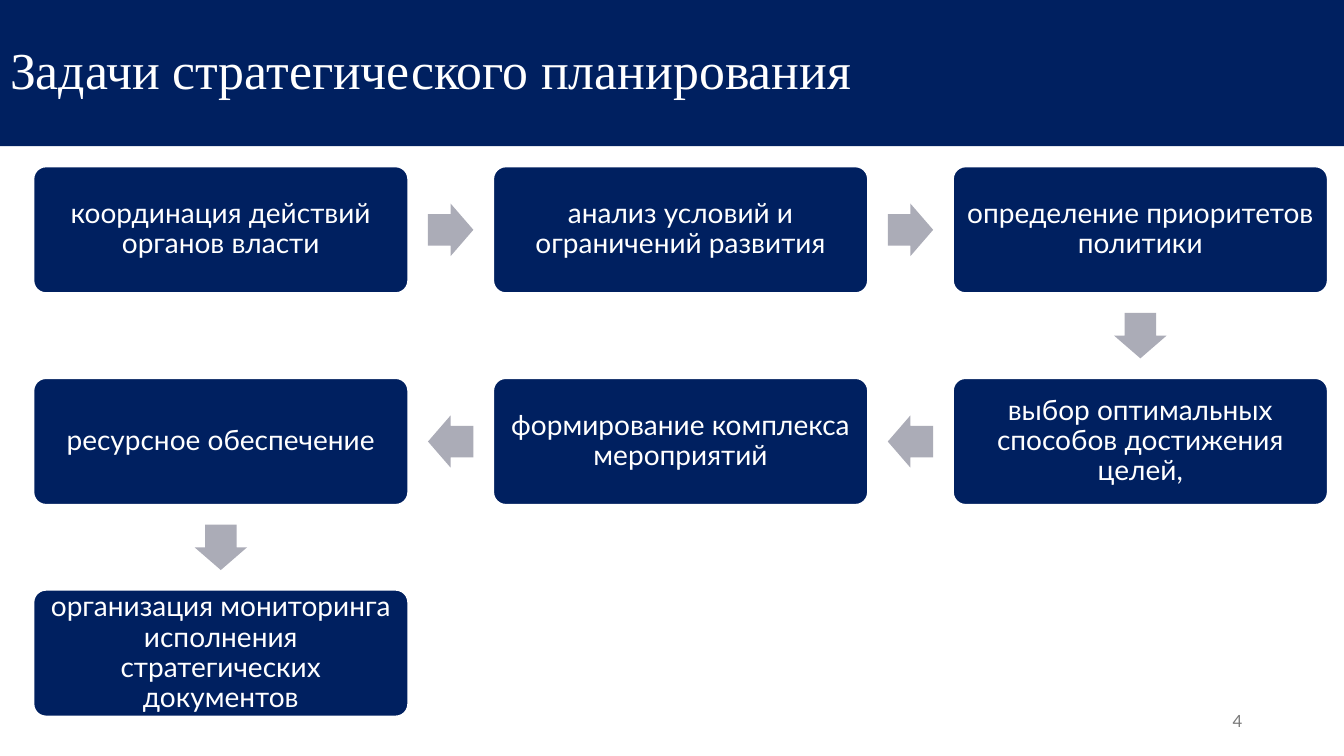
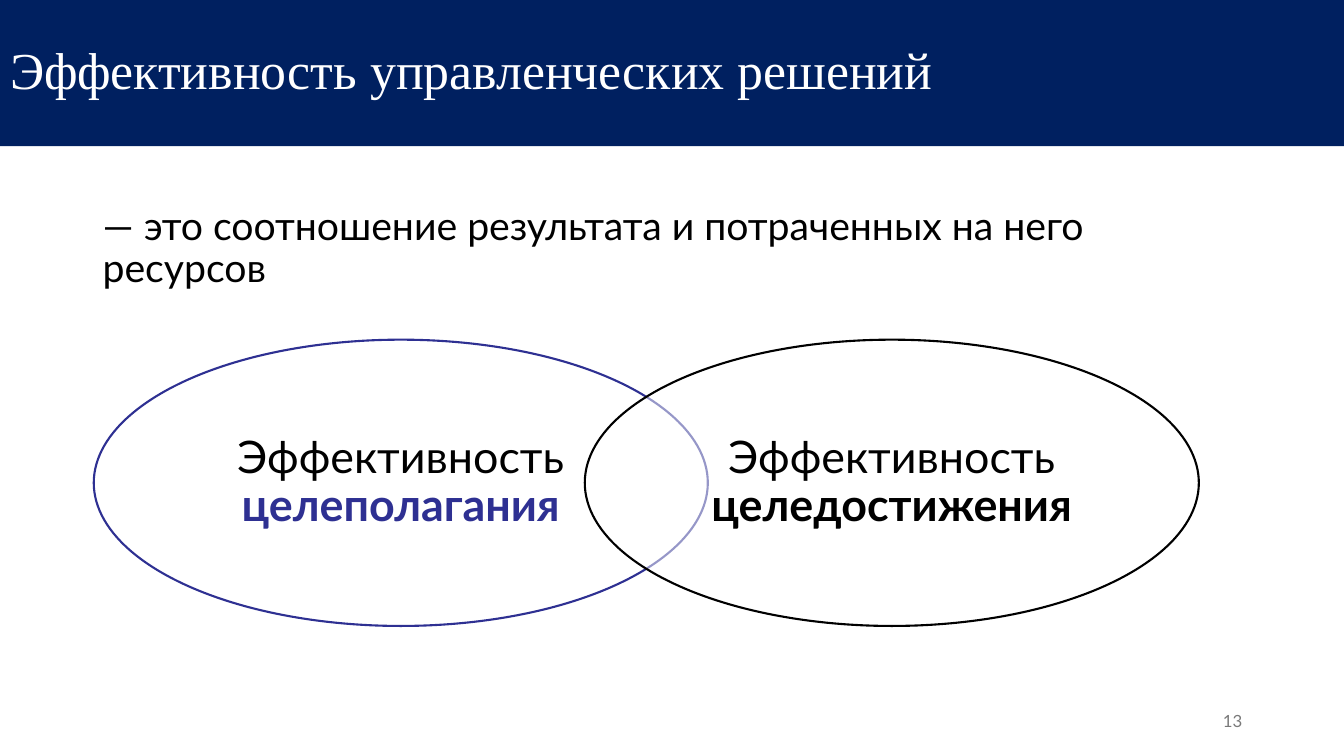
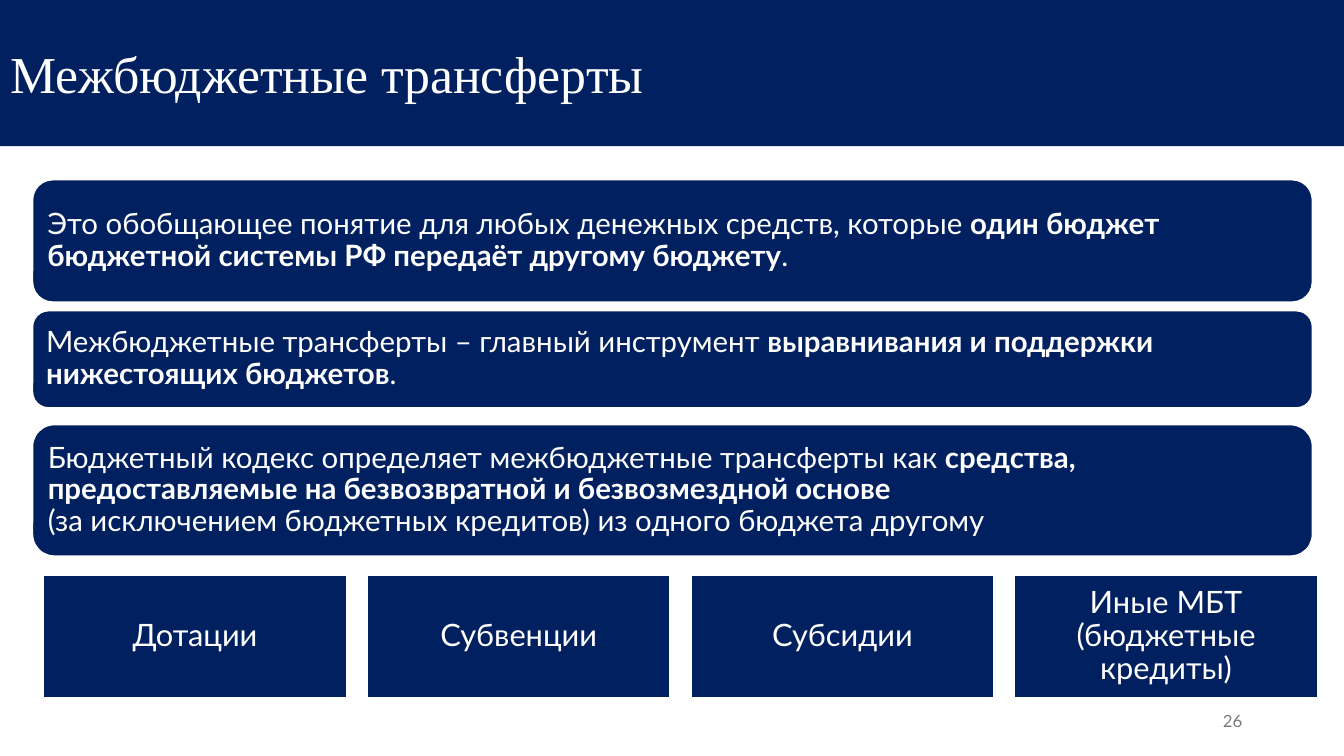
import lxml.etree
import pptx
import pptx.dml.color
import pptx.enum.shapes
import pptx.enum.text
import pptx.oxml.ns
import pptx.util

Inches = pptx.util.Inches
Pt = pptx.util.Pt
SHAPES = pptx.enum.shapes.MSO_SHAPE
ALIGN = pptx.enum.text.PP_ALIGN
ANCHOR = pptx.enum.text.MSO_ANCHOR

COLORS = {
    name: pptx.dml.color.RGBColor.from_string(value)
    for name, value in {
        "navy": "002060",
        "white": "FFFFFF",
        "black": "000000",
        "violet": "2E3092",
        "arrow": "ABACB7",
        "number": "797979",
    }.items()
}


def write(shape, runs, size, color="white", font="Lato", align=ALIGN.CENTER,
          anchor=ANCHOR.MIDDLE, inset=(0.1, 0.05), spacing=0.9):
    frame = shape.text_frame
    frame.word_wrap = True
    frame.auto_size = pptx.enum.text.MSO_AUTO_SIZE.NONE
    frame.vertical_anchor = anchor
    frame.margin_left = frame.margin_right = Inches(inset[0])
    frame.margin_top = frame.margin_bottom = Inches(inset[1])
    paragraph = frame.paragraphs[0]
    paragraph.alignment = align
    paragraph.line_spacing = spacing
    paragraph.font.name = font
    paragraph.font.size = Pt(size)
    paragraph.font.color.rgb = COLORS[color]
    for text, bold_color in runs:
        if text == "\n":
            paragraph.add_line_break()
            continue
        run = paragraph.add_run()
        run.text = text
        if bold_color:
            run.font.bold = True
            run.font.color.rgb = COLORS[bold_color]


def add_box(slide, kind, left, top, width, height, fill="navy", line="white"):
    box = slide.shapes.add_shape(kind, Inches(left), Inches(top), Inches(width), Inches(height))
    box.shadow.inherit = False
    box.fill.solid()
    box.fill.fore_color.rgb = COLORS[fill]
    if line:
        box.line.color.rgb = COLORS[line]
        box.line.width = Pt(1.5)
    else:
        box.line.fill.background()
    return box


deck = pptx.Presentation()
deck.slide_width = Inches(13.33)
deck.slide_height = Inches(7.5)

slides = []
for heading, number, spacing in [
    ("Задачи стратегического планирования", "4", 0.9),
    ("Эффективность управленческих решений", "13", 0.9),
    ("Межбюджетные трансферты", "26", 1.0),
]:
    slide = deck.slides.add_slide(deck.slide_layouts[5])
    title = slide.shapes.title
    title.left, title.top = Inches(0), Inches(0)
    title.width, title.height = deck.slide_width, Inches(1.45)
    title.fill.solid()
    title.fill.fore_color.rgb = COLORS["navy"]
    write(title, [(heading, None)], 37, font="Times New Roman", align=ALIGN.LEFT, spacing=spacing)
    page_number = slide.shapes.add_textbox(Inches(9.42), Inches(6.95), Inches(3), Inches(0.4))
    write(page_number, [(number, None)], 12, "number", align=ALIGN.RIGHT, spacing=1.0)
    slides.append(slide)
tasks_slide, efficiency_slide, transfers_slide = slides

tasks = [
    "координация действий органов власти",
    "анализ условий и ограничений развития",
    "определение приоритетов политики",
    "выбор оптимальных способов достижения целей,",
    "формирование комплекса мероприятий",
    "ресурсное обеспечение",
    "организация мониторинга исполнения стратегических документов",
]
task_width, task_height = 3.72, 1.26
arrow_width, arrow_height = 0.45, 0.52
centers = []
for index, task in enumerate(tasks):
    row, column = divmod(index, 3)
    if row % 2:
        column = 2 - column
    left, top = 0.33 + 4.56 * column, 1.65 + 2.1 * row
    task_box = add_box(tasks_slide, SHAPES.ROUNDED_RECTANGLE, left, top, task_width, task_height)
    task_box.adjustments[0] = 0.1
    write(task_box, [(task, None)], 20, inset=(0.08, 0.08))
    centers.append((left + task_width / 2, top + task_height / 2))

for (x1, y1), (x2, y2) in zip(centers, centers[1:]):
    arrow = add_box(tasks_slide, SHAPES.RIGHT_ARROW, (x1 + x2 - arrow_width) / 2,
                    (y1 + y2 - arrow_height) / 2, arrow_width, arrow_height, "arrow", None)
    arrow.adjustments[0] = 0.6
    arrow.adjustments[1] = 0.5
    arrow.rotation = 90 if y2 > y1 else 180 if x2 < x1 else 0

definition = efficiency_slide.shapes.add_textbox(Inches(0.92), Inches(2), Inches(11.5), Inches(1.15))
write(definition, [("— это соотношение результата и потраченных на него ресурсов", None)],
      28, "black", align=ALIGN.LEFT, anchor=ANCHOR.TOP)

for left, aspect, color in [(0.93, "целеполагания", "violet"), (5.8, "целедостижения", "black")]:
    oval = add_box(efficiency_slide, SHAPES.OVAL, left, 3.37, 6.09, 2.84, "white", color)
    fill_color = oval.fill._xPr.find(".//" + pptx.oxml.ns.qn("a:srgbClr"))
    lxml.etree.SubElement(fill_color, pptx.oxml.ns.qn("a:alpha"), val="50000")
    write(oval, [("Эффективность ", None), (aspect, color)], 32, "black", inset=(0.34, 0.04))

for top, height, statement in [
    (1.78, 1.22, [
        ("Это обобщающее понятие для любых денежных средств, которые ", None),
        ("один бюджет бюджетной системы РФ передаёт другому бюджету", "white"),
        (".", None),
    ]),
    (3.08, 0.97, [
        ("Межбюджетные трансферты – главный инструмент ", None),
        ("выравнивания и поддержки нижестоящих бюджетов", "white"),
        (".", None),
    ]),
    (4.21, 1.31, [
        ("Бюджетный кодекс определяет межбюджетные трансферты как ", None),
        ("средства, предоставляемые на безвозвратной и безвозмездной основе", "white"),
        ("\n", None),
        ("(за исключением бюджетных кредитов) из одного бюджета другому", None),
    ]),
]:
    statement_box = add_box(transfers_slide, SHAPES.ROUNDED_RECTANGLE, 0.32, top, 12.7, height)
    write(statement_box, statement, 21, align=ALIGN.LEFT, inset=(0.09, 0.09))

transfer_kinds = ["Дотации", "Субвенции", "Субсидии", "Иные МБТ (бюджетные кредиты)"]
for index, transfer_kind in enumerate(transfer_kinds):
    kind_box = add_box(transfers_slide, SHAPES.RECTANGLE, 0.43 + 3.21 * index, 5.7, 3.01, 1.23)
    write(kind_box, [(transfer_kind, None)], 22, inset=(0.09, 0.09))

deck.save("out.pptx")
